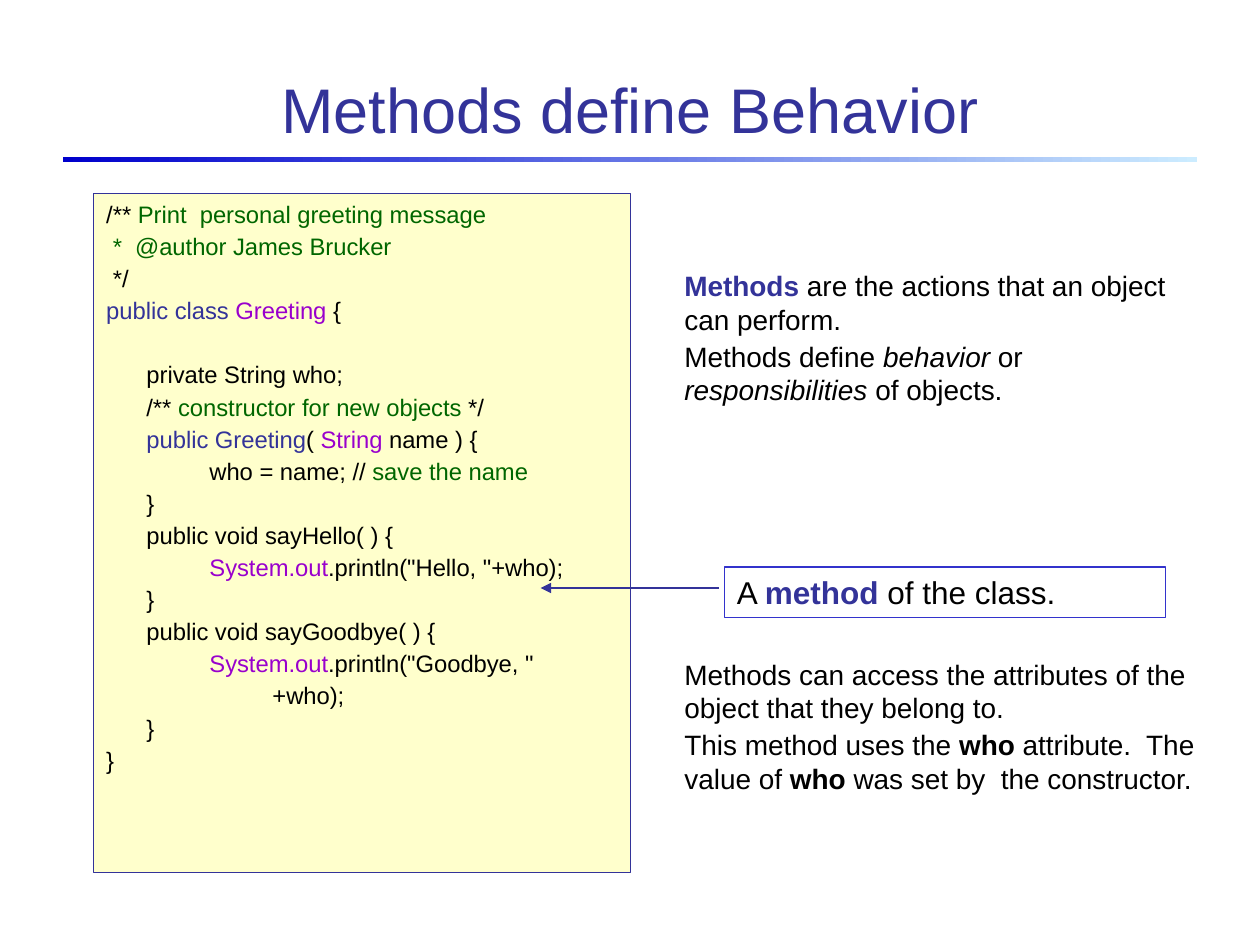
from pptx import Presentation, util as u
from pptx.dml import color
from pptx.enum import shapes, text
from pptx.oxml import ns, xmlchemy

NAVY, GREEN, PURPLE, BLACK = "333399", "006600", "9900CC", "000000"

CODE = [
    ["/** ", ("Print  personal greeting message", GREEN)],
    [(" *  @author James Brucker", GREEN)],
    [" */"],
    [("public class ", NAVY), ("Greeting", PURPLE), " {"],
    [],
    ["\tprivate String who;"],
    ["\t/** ", ("constructor for new objects ", GREEN), "*/"],
    ["\t", ("public Greeting", NAVY), "( ", ("String", PURPLE), " name ) {"],
    ["\t\twho = name; // ", ("save the name", GREEN)],
    ["\t}"],
    ["\tpublic void sayHello( ) {"],
    ["\t\t", ("System.out", PURPLE), '.println("Hello, "+who);'],
    ["\t}"],
    ["\tpublic void sayGoodbye( ) {"],
    ["\t\t", ("System.out", PURPLE), '.println("Goodbye, "'],
    ["\t\t\t+who);"],
    ["\t}"],
    ["}"],
]
ACTIONS = [
    [("Methods", NAVY, "b"), " are the actions that an object can perform."],
    ["Methods define ", ("behavior", BLACK, "i"), " or ",
     ("responsibilities", BLACK, "i"), " of objects."],
]
ACCESS = [
    ["Methods can access the attributes of the object that they belong to."],
    ["This method uses the ", ("who", BLACK, "b"), " attribute.  The value of ",
     ("who", BLACK, "b"), " was set by  the constructor."],
]
CALLOUT = [["A ", ("method", NAVY, "b"), " of the class."]]


def rgb(value):
    """Return a colour from a hex string."""
    return color.RGBColor.from_string(value)


def place(sp, left, top, width, height):
    """Move and size a shape in points."""
    sp.left, sp.top = u.Pt(left), u.Pt(top)
    sp.width, sp.height = u.Pt(width), u.Pt(height)


def add_child(parent, tag, **attrs):
    """Append a DrawingML element with attributes."""
    child = xmlchemy.OxmlElement(tag)
    for name, value in attrs.items():
        child.set(name, str(value))
    parent.append(child)
    return child


def set_code_indent(p, indent=23, first_tab=77, step=72):
    """Give a paragraph a hanging indent, no bullet and even tab stops."""
    pPr = p._p.get_or_add_pPr()
    pPr.set("marL", str(u.Pt(indent)))
    pPr.set("indent", str(u.Pt(-indent)))
    add_child(pPr, "a:buNone")
    tabs = add_child(pPr, "a:tabLst")
    for pos in [0] + [first_tab + step * i for i in range(7)]:
        add_child(tabs, "a:tab", pos=u.Pt(pos), algn="l")


def write(sp, paragraphs, size=16, before=2, align=text.PP_ALIGN.LEFT,
          anchor=text.MSO_ANCHOR.TOP, code=False):
    """Fill a shape with formatted paragraphs made of runs."""
    tf = sp.text_frame
    tf.word_wrap = True
    tf.auto_size = text.MSO_AUTO_SIZE.NONE
    tf.vertical_anchor = anchor
    for i, runs in enumerate(paragraphs):
        p = tf.add_paragraph() if i else tf.paragraphs[0]
        if code:
            set_code_indent(p)
        p.alignment = align
        p.line_spacing = 1.0
        p.space_before = u.Pt(before if i else 0)
        p.font.size = u.Pt(size)
        if not runs:
            add_child(p._p, "a:endParaRPr", sz=round(size * 100))
        for run in runs:
            words, hue, style = ((run,) if isinstance(run, str) else run) + (BLACK, "")[
                (0 if isinstance(run, str) else len(run) - 1):]
            r = p.add_run()
            r.text = words
            r.font.name, r.font.size = "Arial", u.Pt(size)
            r.font.color.rgb = rgb(hue)
            r.font.bold, r.font.italic = "b" in style, "i" in style


def outline(sp, hue, width=0.75):
    """Set the line colour and width of a shape."""
    sp.line.color.rgb = rgb(hue)
    sp.line.width = u.Pt(width)


def add_rule(slide, left, top, width, height):
    """Add the gradient bar below the title."""
    sp = slide.shapes.add_shape(shapes.MSO_SHAPE.RECTANGLE, 0, 0, 0, 0)
    place(sp, left, top, width, height)
    sp.shadow.inherit = False
    sp.line.fill.background()
    sp.fill.gradient()
    sp.fill.gradient_angle = 0
    for stop, hue in zip(sp.fill.gradient_stops, ("0000CC", "CCECFF")):
        stop.color.rgb = rgb(hue)


def add_text(slide, box, paragraphs, **fmt):
    """Add a text box at the given position."""
    sp = slide.shapes.add_textbox(*map(u.Pt, box))
    write(sp, paragraphs, **fmt)
    return sp


def add_arrow(slide, x1, x2, y):
    """Add a horizontal arrow pointing at its second end."""
    sp = slide.shapes.add_connector(
        shapes.MSO_CONNECTOR.STRAIGHT, u.Pt(x1), u.Pt(y), u.Pt(x2), u.Pt(y))
    outline(sp, NAVY, 1.5)
    add_child(sp.line._get_or_add_ln(), "a:tailEnd", type="triangle")
    add_child(sp._element.find(ns.qn("p:spPr")), "a:effectLst")


def main():
    """Build and save the slide."""
    prs = Presentation()
    prs.slide_width, prs.slide_height = u.Pt(720), u.Pt(540)
    slide = prs.slides.add_slide(prs.slide_layouts[1])
    title, body = slide.placeholders

    place(title, 48, 20, 624, 67)
    write(title, [[("Methods define Behavior", NAVY)]], size=36,
          align=text.PP_ALIGN.CENTER, anchor=text.MSO_ANCHOR.BOTTOM)
    add_rule(slide, 36, 90, 648, 2.5)

    place(body, 53.5, 110.5, 307, 388)
    body.fill.solid()
    body.fill.fore_color.rgb = rgb("FFFFCC")
    outline(body, NAVY)
    write(body, CODE, size=13.6, code=True)

    callout = add_text(slide, (414, 324, 252, 29), CALLOUT, size=18)
    outline(callout, "3333CC")
    add_text(slide, (384, 372, 307, 120), ACCESS)
    add_arrow(slide, 411, 309, 336)
    add_text(slide, (384, 150, 307, 120), ACTIONS)
    prs.save("out.pptx")


if __name__ == "__main__":
    main()
